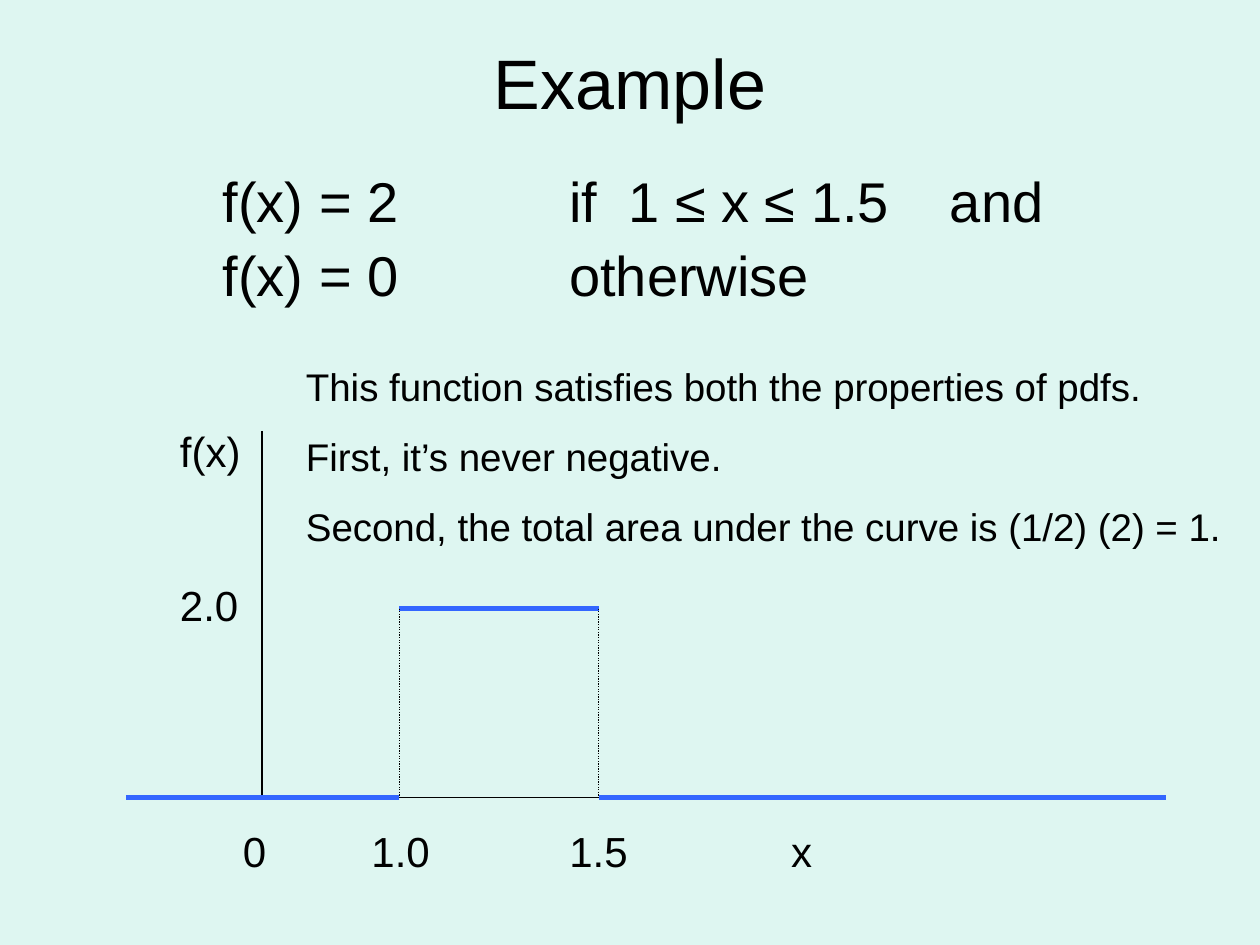
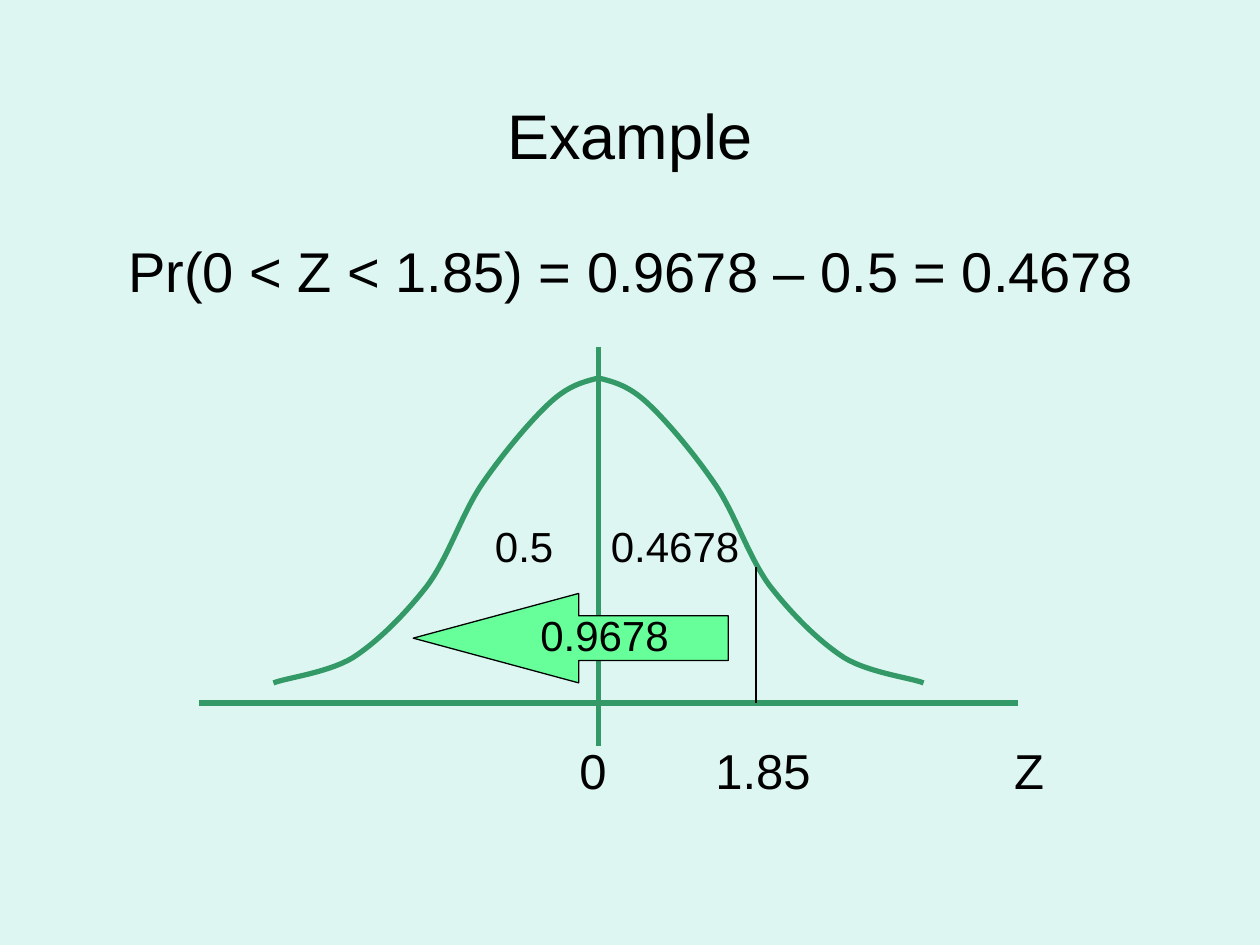
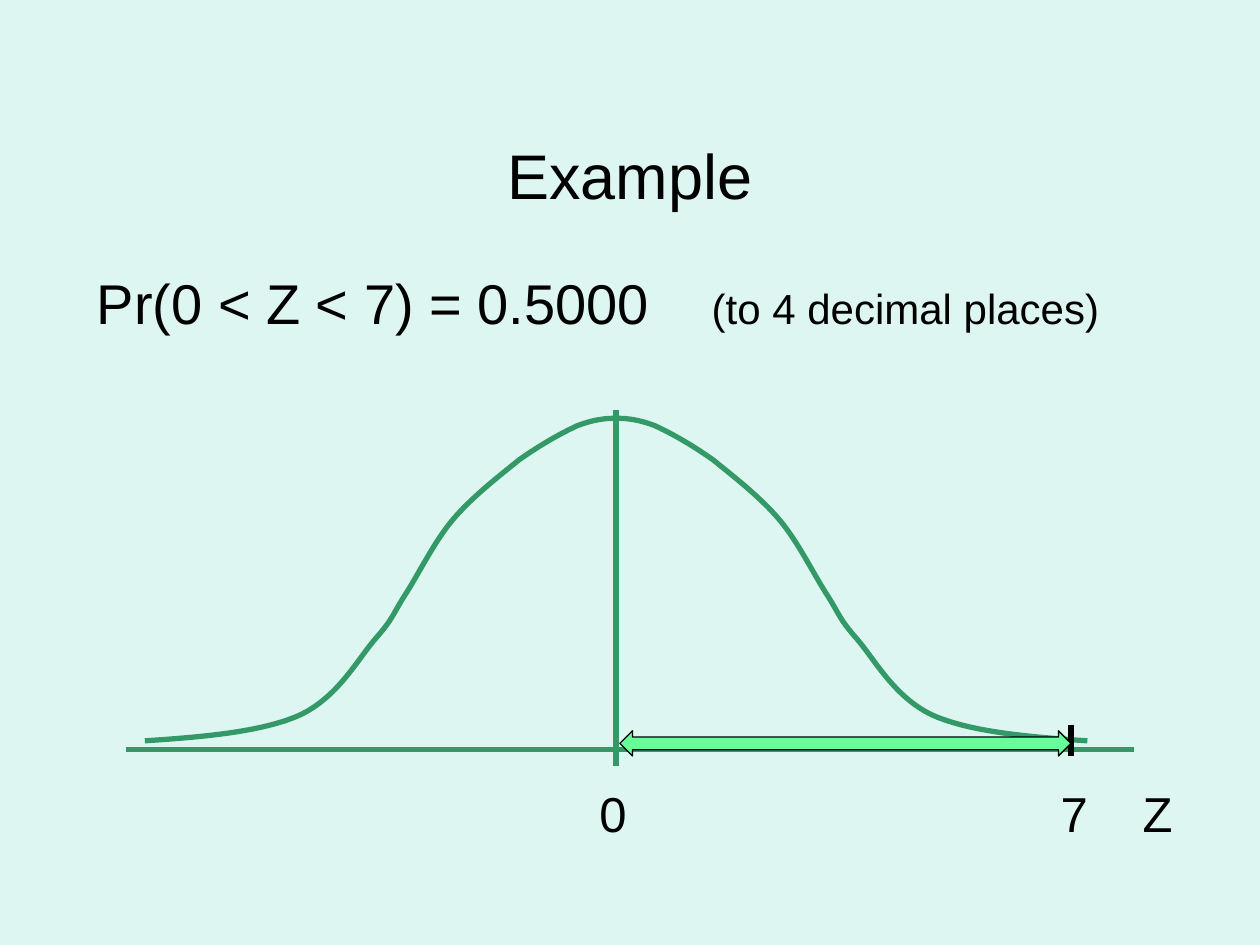
from pptx import Presentation
from pptx import util as u
from pptx.dml.color import RGBColor
from pptx.enum import dml, shapes, text
from pptx.oxml.ns import qn
from lxml import etree

FONT = "Arial"
BACKGROUND, BLACK, BLUE, GREEN, MINT = "DEF6F1", "000000", "3366FF", "339966", "66FF99"
THIN, THICK = 0.75, 3

# Slide 1: a uniform density, zero outside 1.0 to 1.5
CASES = ["f(x) = 2\tif\t1 ≤ x ≤ 1.5\tand", "f(x) = 0\totherwise"]
CASE_STOPS = [2.75, 3.22, 5.77]
REASONS = [
    "This function satisfies both the properties of pdfs.",
    "First, it’s never negative.",
    "Second, the total area under the curve is (1/2) (2) = 1.",
]
STEP_LEFT, STEP_RIGHT, STEP_TOP, STEP_BASE = 3.17, 4.75, 4.83, 6.33

# Slides 2 and 3: half of each bell curve, a start and then Bezier triples
NARROW_BELL = [
    (4.75, 3),
    (4.87, 3.03), (4.99, 3.06), (5.14, 3.2),
    (5.29, 3.34), (5.51, 3.6), (5.68, 3.85),
    (5.84, 4.09), (5.94, 4.42), (6.11, 4.65),
    (6.29, 4.88), (6.5, 5.09), (6.7, 5.22),
    (6.9, 5.34), (7.23, 5.38), (7.33, 5.42),
]
WIDE_BELL = [
    (1.15, 5.88),
    (1.61, 5.85), (2.07, 5.81), (2.37, 5.68),
    (2.68, 5.54), (2.84, 5.23), (2.98, 5.07),
    (3.12, 4.91), (3.11, 4.89), (3.21, 4.73),
    (3.31, 4.58), (3.44, 4.31), (3.59, 4.13),
    (3.74, 3.95), (3.96, 3.78), (4.12, 3.65),
    (4.29, 3.53), (4.45, 3.44), (4.58, 3.38),
    (4.71, 3.33), (4.8, 3.32), (4.89, 3.32),
]


def color(value):
    return RGBColor.from_string(value)


def add_stops(para, stops):
    """Give a paragraph left tab stops, in inches from the text edge."""
    tabs = etree.SubElement(para._p.get_or_add_pPr(), qn("a:tabLst"))
    for stop in stops:
        etree.SubElement(tabs, qn("a:tab"), pos=str(u.Inches(stop)), algn="l")


def style_span(span, size):
    span.font.name = FONT
    span.font.size = u.Pt(size)
    span.font.color.rgb = color(BLACK)


def add_text(page, lines, place, size, stops=(), gap=0, spacing=None):
    box = page.shapes.add_textbox(*map(u.Inches, place))
    frame = box.text_frame
    frame.word_wrap = True
    frame.text = "\n".join(lines)
    for index, para in enumerate(frame.paragraphs):
        if stops:
            add_stops(para, stops)
        if index:
            para.space_before = u.Pt(gap)
        if spacing:
            para.line_spacing = spacing
        for span in para.runs:
            style_span(span, size)
    return box


def add_title(page, top, height, size):
    frame = add_text(page, ["Example"], (0.5, top, 9, height), size).text_frame
    frame.vertical_anchor = text.MSO_ANCHOR.MIDDLE
    frame.paragraphs[0].alignment = text.PP_ALIGN.CENTER


def add_line(page, start, end, line_color, width, dash=None):
    line = page.shapes.add_connector(
        shapes.MSO_CONNECTOR.STRAIGHT, *map(u.Inches, start + end))
    line.line.color.rgb = color(line_color)
    line.line.width = u.Pt(width)
    if dash:
        line.line.dash_style = dash
    etree.SubElement(line._element.spPr, qn("a:effectLst"))


def add_curve(page, points):
    """Draw a smooth open curve through a start and Bezier triples."""
    start, *rest = [(u.Inches(x), u.Inches(y)) for x, y in points]
    builder = page.shapes.build_freeform(*start)
    builder.add_line_segments(rest, close=False)
    curve = builder.convert_to_shape()
    curve.shadow.inherit = False
    curve.fill.background()
    curve.line.color.rgb = color(GREEN)
    curve.line.width = u.Pt(THICK)
    segments = list(curve._element.iter(qn("a:lnTo")))
    for first in range(0, len(segments), 3):
        triple = segments[first:first + 3]
        bezier = etree.Element(qn("a:cubicBezTo"))
        triple[0].addprevious(bezier)
        for segment in triple:
            bezier.append(segment[0])
            segment.getparent().remove(segment)


def add_bell(page, half, center):
    add_curve(page, half)
    add_curve(page, [(2 * center - x, y) for x, y in half])


def add_arrow(page, kind, place, adjustments):
    arrow = page.shapes.add_shape(kind, *map(u.Inches, place))
    arrow.shadow.inherit = False
    for index, value in enumerate(adjustments):
        arrow.adjustments[index] = value
    arrow.fill.solid()
    arrow.fill.fore_color.rgb = color(MINT)
    arrow.line.color.rgb = color(BLACK)
    arrow.line.width = u.Pt(THIN)


def add_uniform_density(page):
    add_title(page, 0.3, 0.7, 40)
    add_text(page, CASES, (1.67, 1.33, 7.58, 1.25), 32, CASE_STOPS, 8, 0.9)
    add_line(page, (2.08, 3.42), (2.08, STEP_BASE), BLACK, THIN)
    add_line(page, (2.08, STEP_BASE), (6.25, STEP_BASE), BLACK, THIN)
    add_text(page, ["0\t1.0\t1.5\tx"], (1.83, 6.5, 6, 0.5), 24, [1.02, 2.59, 4.35])
    for label, top in (("f(x)", 3.33), ("2.0", 4.55)):
        add_text(page, [label], (1.33, top, 0.75, 0.5), 24)
    for left, right, height in ((1, STEP_LEFT, STEP_BASE), (STEP_RIGHT, 9.25, STEP_BASE),
                                (STEP_LEFT, STEP_RIGHT, STEP_TOP)):
        add_line(page, (left, height), (right, height), BLUE, THICK)
    for side in (STEP_LEFT, STEP_RIGHT):
        add_line(page, (side, STEP_TOP), (side, STEP_BASE), BLACK, THIN,
                 dml.MSO_LINE.ROUND_DOT)
    add_text(page, REASONS, (2.33, 2.83, 7.5, 1.58), 22, gap=13.8)


def add_normal_area(page):
    add_title(page, 0.3, 1.53, 36)
    add_text(page, ["Pr(0 < Z < 1.85) = 0.9678 – 0.5 = 0.4678"], (0.92, 1.83, 8.33, 1.17), 32)
    add_bell(page, NARROW_BELL, 4.75)
    add_line(page, (4.75, 2.75), (4.75, 5.92), GREEN, THICK)
    add_line(page, (1.58, 5.58), (8.08, 5.58), GREEN, THICK)
    add_line(page, (6, 4.5), (6, 5.58), BLACK, THIN)
    add_text(page, ["0\t1.85\tZ"], (4.5, 5.83, 4.33, 0.57), 28, [1.08, 3.45])
    add_arrow(page, shapes.MSO_SHAPE.LEFT_ARROW, (3.28, 4.71, 2.5, 0.71), (0.5, 1.85))
    for area, left, top, width in (("0.4678", 4.75, 4.08, 1.33), ("0.5", 3.83, 4.08, 0.92),
                                   ("0.9678", 4.19, 4.79, 1.33)):
        add_text(page, [area], (left, top, width, 0.5), 24)


def add_far_tail(page):
    add_title(page, 0.92, 0.92, 36)
    add_text(page, ["\t0\t7\tZ"], (4.33, 6.17, 5.2, 0.57), 28, [0.33, 3.99, 4.64])
    add_line(page, (4.89, 3.25), (4.89, 6.08), GREEN, THICK)
    add_line(page, (1, 5.95), (9, 5.95), GREEN, THICK)
    add_bell(page, WIDE_BELL, 4.89)
    claim = add_text(page, ["Pr(0 < Z < 7) = 0.5000\t"], (0.67, 2.08, 8.83, 0.67), 32, [4.88])
    note = claim.text_frame.paragraphs[0].add_run()
    note.text = "(to 4 decimal places)"
    style_span(note, 24)
    add_line(page, (8.5, 5.75), (8.5, 6), BLACK, THICK)
    add_arrow(page, shapes.MSO_SHAPE.LEFT_RIGHT_ARROW, (4.92, 5.8, 3.58, 0.2), (0.5, 0.5))


def main():
    deck = Presentation()
    deck.slide_width, deck.slide_height = u.Inches(10), u.Inches(7.5)
    backdrop = deck.slide_master.background.fill
    backdrop.solid()
    backdrop.fore_color.rgb = color(BACKGROUND)
    for fill_page in (add_uniform_density, add_normal_area, add_far_tail):
        fill_page(deck.slides.add_slide(deck.slide_layouts[6]))
    deck.save("out.pptx")


if __name__ == "__main__":
    main()
